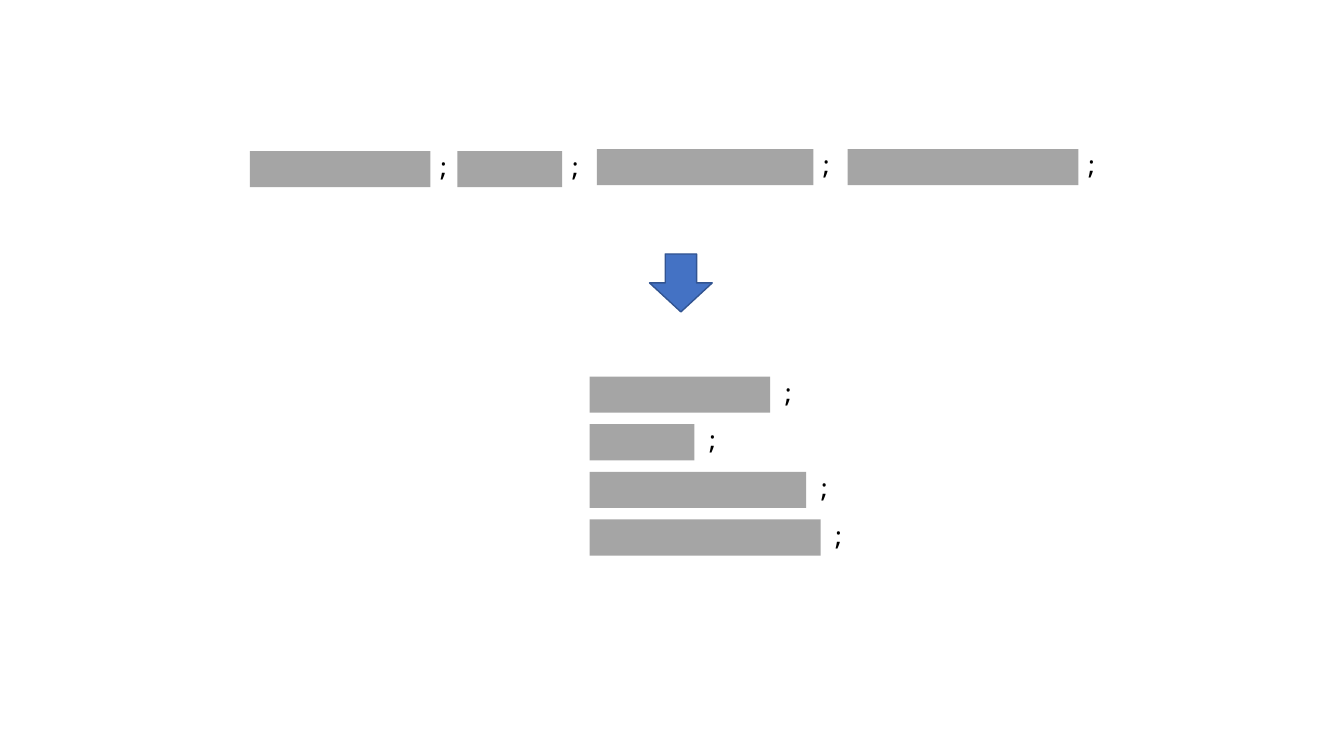
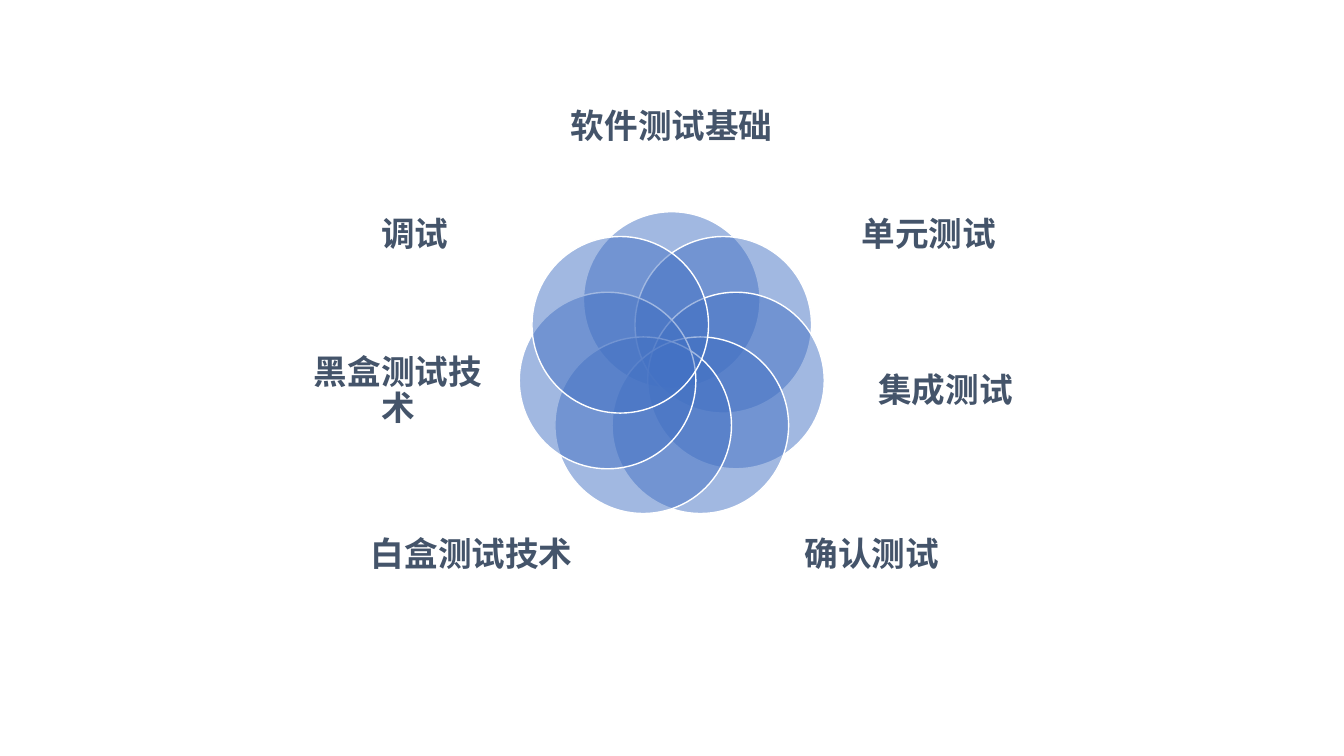
from math import cos, pi, sin

from lxml import etree
from pptx import Presentation
from pptx.dml.color import RGBColor
from pptx.enum.shapes import MSO_SHAPE
from pptx.enum.text import MSO_ANCHOR, MSO_AUTO_SIZE, PP_ALIGN
from pptx.oxml.ns import qn
from pptx.util import Cm, Pt

RECT, OVAL, ARROW = MSO_SHAPE.RECTANGLE, MSO_SHAPE.OVAL, MSO_SHAPE.DOWN_ARROW
FIT = MSO_AUTO_SIZE.SHAPE_TO_FIT_TEXT
MIDDLE, CENTER = MSO_ANCHOR.MIDDLE, PP_ALIGN.CENTER
COLORS = {"bar": "A5A5A5", "blue": "4472C4", "edge": "325491",
          "white": "FFFFFF", "black": "000000", "label": "44546A"}
MONO, CJK = "Noto Sans Mono", "Noto Sans CJK SC"


def add_shape(s, kind, x, y, w, h, fill, line=None):
    sp = s.shapes.add_shape(kind, Cm(x), Cm(y), Cm(w), Cm(h))
    sp.shadow.inherit = False
    sp.fill.solid()
    sp.fill.fore_color.rgb = RGBColor.from_string(COLORS[fill])
    if line:
        sp.line.color.rgb = RGBColor.from_string(COLORS[line])
        sp.line.width = Pt(1)
    else:
        sp.line.fill.background()
    return sp


def add_text(s, text, x, y, w, h, font, size, color):
    tf = s.shapes.add_textbox(Cm(x), Cm(y), Cm(w), Cm(h)).text_frame
    p = tf.paragraphs[0]
    p.text = text
    p.font.size = Pt(size)
    p.font.name = font
    p.font.color.rgb = RGBColor.from_string(COLORS[color])
    return tf


prs = Presentation()
prs.slide_width, prs.slide_height = Cm(33.87), Cm(19.05)
blank = prs.slide_layouts[6]

s = prs.slides.add_slide(blank)
bar_h = 0.91
widths = [4.55, 2.64, 5.46, 5.82]
row = [(6.3, 3.81), (11.53, 3.81), (15.04, 3.76), (21.36, 3.76)]
stack = [(14.86, 9.49 + 1.2 * i) for i in range(len(widths))]
for places, gap in ((stack, 0), (row, -0.13)):
    for (x, y), w in zip(places, widths):
        add_shape(s, RECT, x, y, w, bar_h, "bar")
        tf = add_text(s, ";", x + w + gap, y - 0.11, 0.86, 1.02, MONO, 18, "black")
        tf.word_wrap = False
        tf.auto_size = FIT
add_shape(s, ARROW, 16.37, 6.4, 1.58, 1.46, "blue", "edge")

s = prs.slides.add_slide(blank)
cx, cy, ring, d = 16.93, 9.22, 1.66, 4.45
labels = [
    ("软件测试基础", 0, 1.85, 5.1, 2.72),
    ("单元测试", 6.48, 4.45, 4.8, 3),
    ("集成测试", 6.9, 8.26, 4.72, 3.2),
    ("确认测试", 5.04, 12.55, 5.1, 2.92),
    ("白盒测试技术", -5.04, 12.55, 5.1, 2.92),
    ("黑盒测试技术", -6.9, 8.26, 4.72, 3.2),
    ("调试", -6.48, 4.45, 4.8, 3),
]
for i, (text, dx, y, w, h) in enumerate(labels):
    angle = 2 * pi * i / len(labels)
    sp = add_shape(s, OVAL, cx + ring * sin(angle) - d / 2,
                   cy - ring * cos(angle) - d / 2, d, d, "blue", "white")
    clr = sp.fill._xPr.find(qn("a:solidFill"))[0]
    etree.SubElement(clr, qn("a:alpha"), val="50000")

    tf = add_text(s, text, cx + dx - w / 2, y, w, h, CJK, 24, "label")
    tf.word_wrap = True
    tf.vertical_anchor = MIDDLE
    tf.margin_left = tf.margin_right = tf.margin_top = tf.margin_bottom = 0
    p = tf.paragraphs[0]
    p.alignment = CENTER
    p.line_spacing = 0.9
    p.font.bold = True
    props = p._p.pPr.find(qn("a:defRPr"))
    etree.SubElement(props, qn("a:ea"), typeface=CJK)

prs.save("out.pptx")
